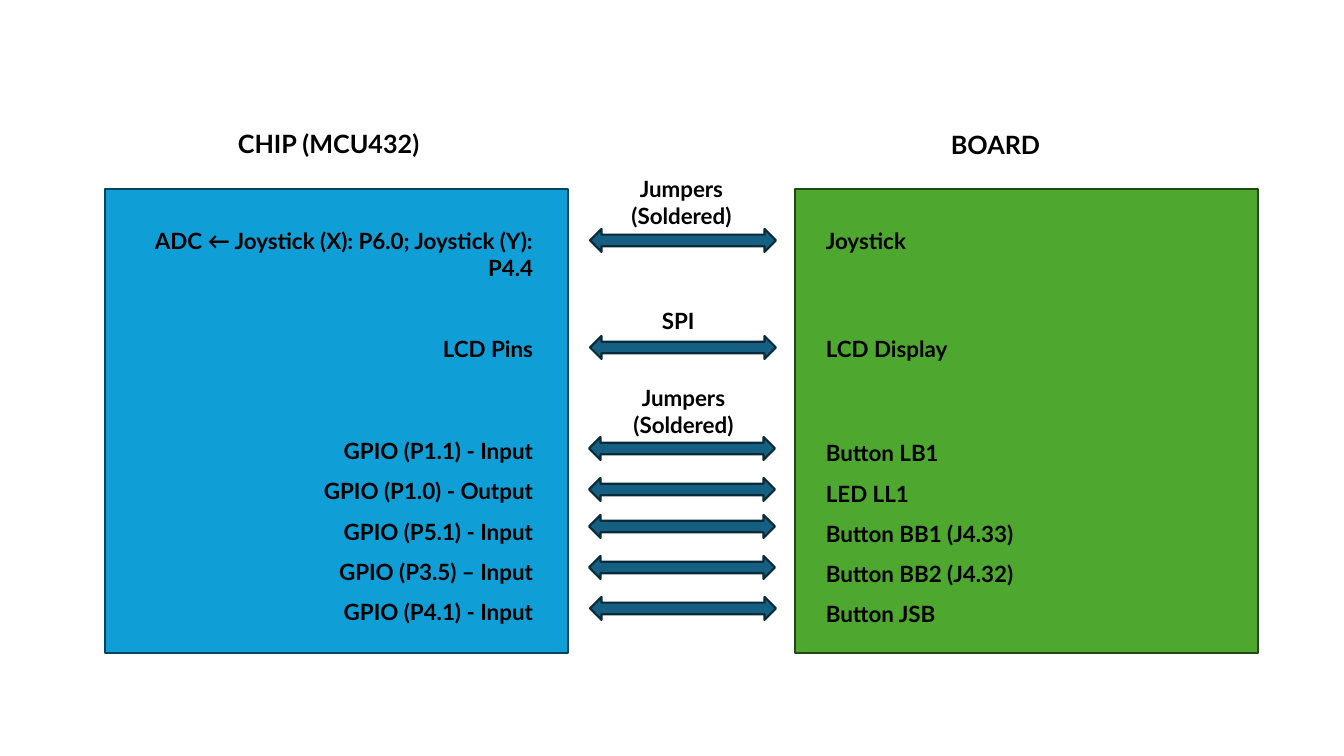
from pptx import Presentation
from pptx.dml.color import RGBColor as Rgb
from pptx.enum.shapes import MSO_SHAPE as Shape
from pptx.enum.text import MSO_AUTO_SIZE as Auto, PP_ALIGN as Align
from pptx.util import Pt

# Content: lengths in px
HEX = {
    "chip": "0F9ED5", "chip edge": "07455D",
    "board": "4EA72E", "board edge": "224914",
    "arrow": "156082", "arrow edge": "092A39",
    "text": "000000",
}
PANELS = [("chip", 105), ("board", 795)]
TITLES = [("CHIP (MCU432)", 228, 123), ("BOARD", 941, 124)]
PINS = [
    ("ADC ← Joystick (X): P6.0; Joystick (Y): P4.4", 222, 37),
    ("LCD Pins", 330, 37),
]
PORTS = [
    "GPIO (P1.1) - Input", "GPIO (P1.0) - Output", "GPIO (P5.1) - Input",
    "GPIO (P3.5) – Input", "GPIO (P4.1) - Input",
]
PARTS = [("Joystick", 222), ("LCD Display", 330)]
KEYS = [
    "Button LB1", "LED LL1", "Button BB1 (J4.33)",
    "Button BB2 (J4.32)", "Button JSB",
]
ARROWS = [(590, 229), (590, 336), (589, 437), (589, 478),
          (589, 515), (589, 556), (590, 597)]
LINKS = [
    ("Jumpers (Soldered)", 612, 170, 139, 65, Align.CENTER),
    ("SPI", 652, 302, 70, 37, Align.LEFT),
    ("Jumpers (Soldered)", 614, 379, 139, 65, Align.CENTER),
]
PIN_END = 543    # right edge of the chip labels
PART_X = 816     # left edge of the board labels

SCALE = 914400 / 100.8


def emu(*px):
    return [round(n * SCALE) for n in px]


deck = Presentation()
deck.slide_width, deck.slide_height = emu(1344, 756)
slide = deck.slides.add_slide(deck.slide_layouts[6])


def draw(kind, name, x, y, w, h):
    shape = slide.shapes.add_shape(kind, *emu(x, y, w, h))
    shape.shadow.inherit = False
    shape.fill.solid()
    shape.fill.fore_color.rgb = Rgb.from_string(HEX[name])
    shape.line.color.rgb = Rgb.from_string(HEX[name + " edge"])
    shape.line.width = Pt(1.5)


def write(lines, x, y, w, h, align=Align.LEFT, size=16, gap=1.0):
    frame = slide.shapes.add_textbox(*emu(x, y, w, h)).text_frame
    frame.word_wrap = True
    frame.auto_size = Auto.SHAPE_TO_FIT_TEXT
    frame.text = "\n".join(lines)
    for para in frame.paragraphs:
        para.alignment = align
        para.line_spacing = gap
        for run in para.runs:
            font = run.font
            font.name, font.size, font.bold = "Lato", Pt(size), True
            font.color.rgb = Rgb.from_string(HEX["text"])


# Panels and titles
for name, x in PANELS:
    draw(Shape.RECTANGLE, name, x, 189, 463, 464)
for text, x, y in TITLES:
    write([text], x, y, 324, 40, size=18)

# Chip labels, set against the right edge
for text, y, h in PINS:
    write([text], PIN_END - 439, y, 439, h, Align.RIGHT)
write(PORTS, PIN_END - 417, 419, 417, 210, Align.RIGHT, gap=1.5)

# Board labels
for text, y in PARTS:
    write([text], PART_X, y, 417, 37)
write(KEYS, PART_X, 421, 269, 210, gap=1.5)

# Links between chip and board
for x, y in ARROWS:
    draw(Shape.LEFT_RIGHT_ARROW, "arrow", x, y, 186, 23)
for text, x, y, w, h, align in LINKS:
    write([text], x, y, w, h, align)

deck.save("out.pptx")
